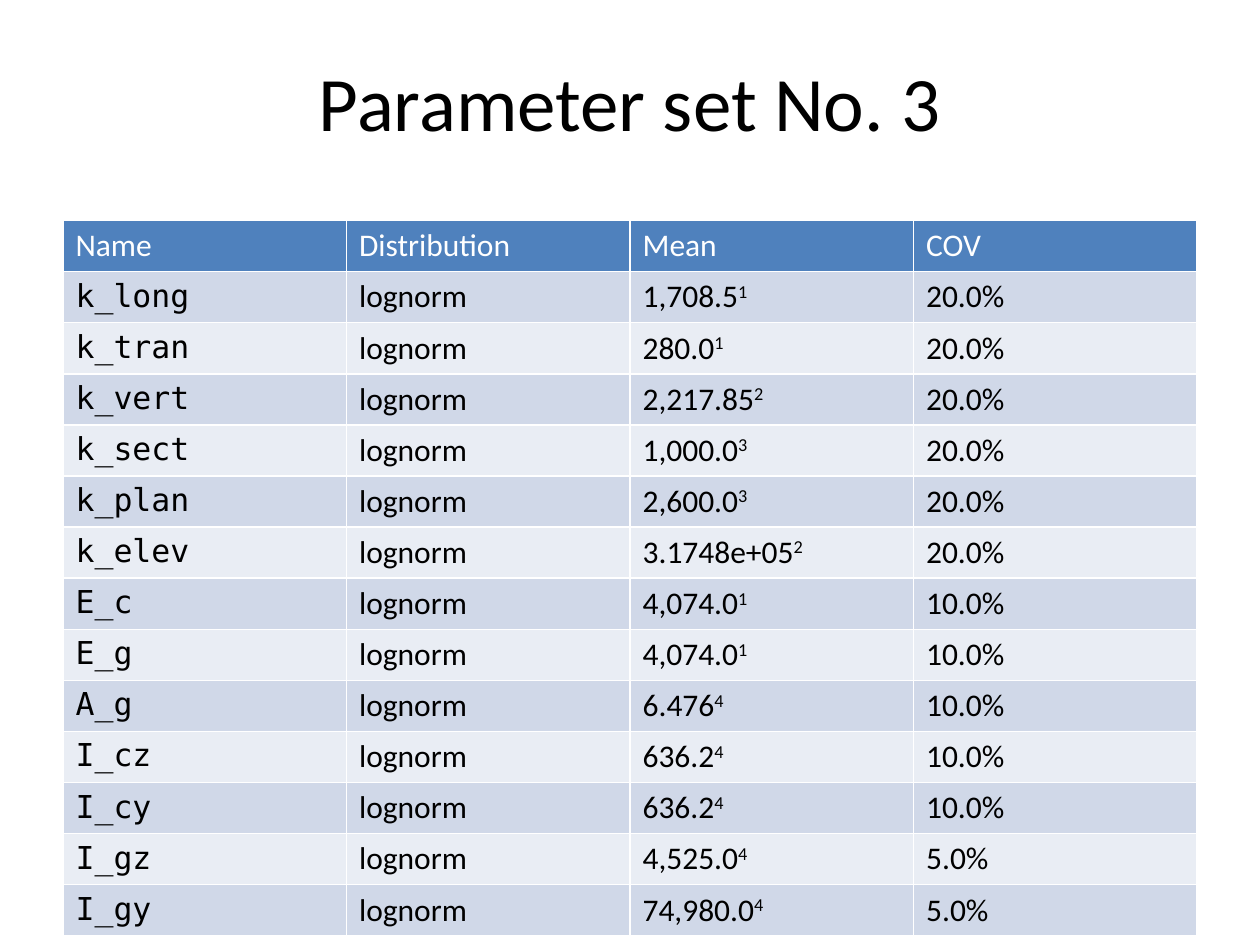
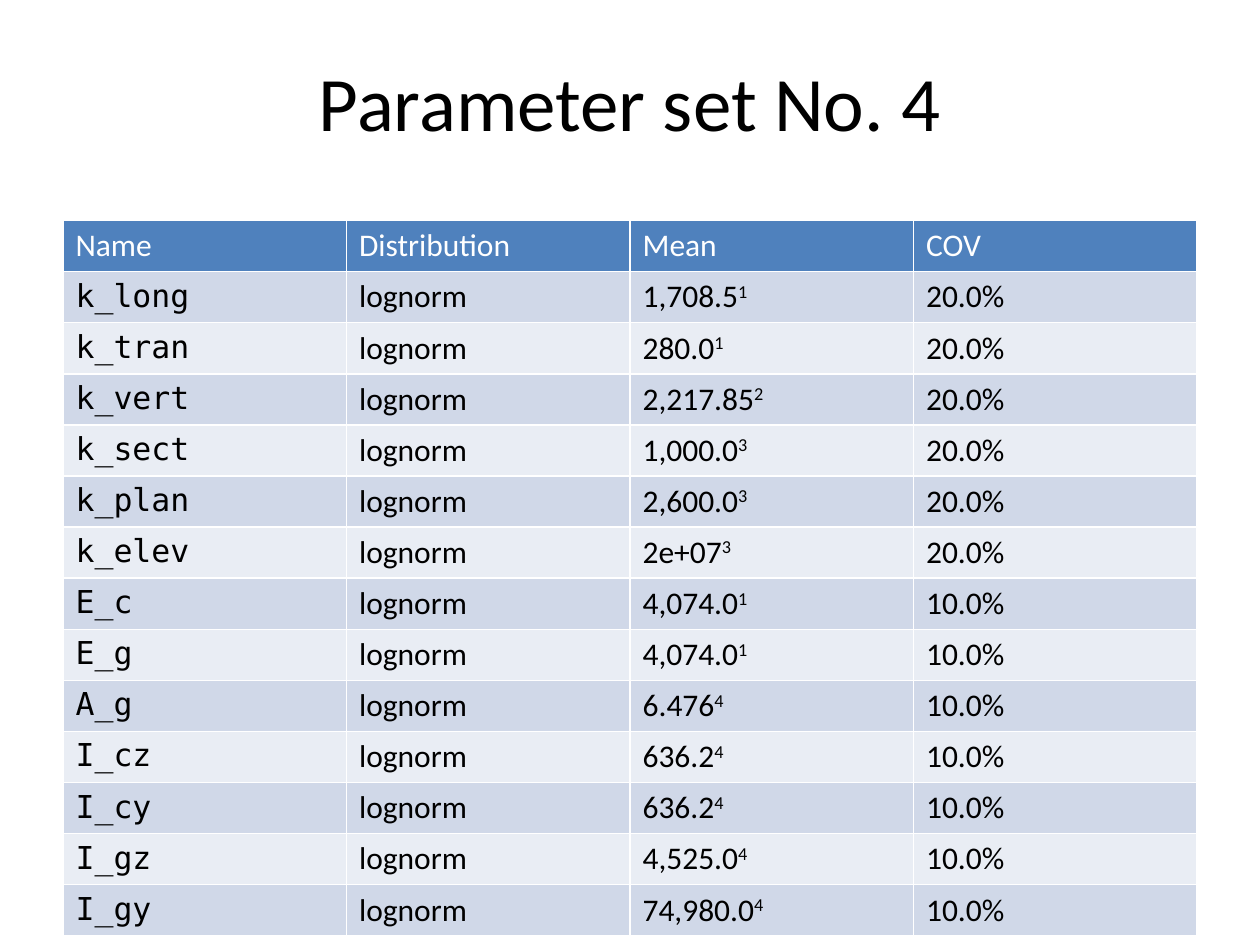
"""Build two slides that each tabulate one set of model parameters."""
from dataclasses import dataclass

from pptx import Presentation
from pptx.dml.color import RGBColor
from pptx.enum.text import MSO_ANCHOR, PP_ALIGN
from pptx.util import Pt


@dataclass(frozen=True)
class Theme:
    """Colours, fonts and type sizes shared by the slides."""
    background: str = "FFFFFF"
    text: str = "000000"
    header_text: str = "FFFFFF"
    header_fill: str = "4F81BD"
    band_fills: tuple = ("D0D8E8", "E9EDF4")
    body_font: str = "Calibri"
    code_font: str = "DejaVu Sans Mono"
    title_size: int = 44
    table_size: int = 18


THEME = Theme()
TITLE_ONLY = 5
LEFT, WIDTH = 36, 648
TITLE_TOP, TITLE_HEIGHT = 21.6, 72
TABLE_TOP, ROW_HEIGHT = 126, 25.4

HEADINGS = ("Name", "Distribution", "Mean", "COV")
DISTRIBUTION = "lognorm"
# name, mean, footnote mark of the mean, coefficient of variation
SHARED_START = [
    ("k_long", "1,708.5", "1", "20.0%"),
    ("k_tran", "280.0", "1", "20.0%"),
    ("k_vert", "2,217.85", "2", "20.0%"),
    ("k_sect", "1,000.0", "3", "20.0%"),
    ("k_plan", "2,600.0", "3", "20.0%"),
]
SHARED_MIDDLE = [
    ("E_c", "4,074.0", "1", "10.0%"),
    ("E_g", "4,074.0", "1", "10.0%"),
    ("A_g", "6.476", "4", "10.0%"),
    ("I_cz", "636.2", "4", "10.0%"),
    ("I_cy", "636.2", "4", "10.0%"),
]


def parameter_rows(elevation_mean, elevation_mark, girder_cov):
    """Return the rows of one set from the values that vary between sets."""
    return [
        *SHARED_START,
        ("k_elev", elevation_mean, elevation_mark, "20.0%"),
        *SHARED_MIDDLE,
        ("I_gz", "4,525.0", "4", girder_cov),
        ("I_gy", "74,980.0", "4", girder_cov),
    ]


def format_run(run, size, color, font=THEME.body_font):
    """Set the font, size and colour of a run, without bold."""
    run.font.name = font
    run.font.size = Pt(size)
    run.font.bold = False
    run.font.color.rgb = RGBColor.from_string(color)


def add_title(slide, text):
    """Place the title placeholder and fill in its text."""
    title = slide.shapes.title
    title.left, title.top = Pt(LEFT), Pt(TITLE_TOP)
    title.width, title.height = Pt(WIDTH), Pt(TITLE_HEIGHT)
    title.text_frame.text = text
    title.text_frame.vertical_anchor = MSO_ANCHOR.MIDDLE
    paragraph = title.text_frame.paragraphs[0]
    paragraph.alignment = PP_ALIGN.CENTER
    format_run(paragraph.runs[0], THEME.title_size, THEME.text)


def fill_cell(cell, text, fill, color=THEME.text, font=THEME.body_font, mark=""):
    """Write a cell, with an optional superscript mark after the text."""
    cell.fill.solid()
    cell.fill.fore_color.rgb = RGBColor.from_string(fill)
    cell.text_frame.text = text
    paragraph = cell.text_frame.paragraphs[0]
    if mark:
        superscript = paragraph.add_run()
        superscript.text = mark
        superscript._r.get_or_add_rPr().set("baseline", "30000")
    for run in paragraph.runs:
        format_run(run, THEME.table_size, color, font)


def add_parameter_table(slide, rows):
    """Add the banded parameter table; the table style draws its white rules."""
    row_count = len(rows) + 1
    table = slide.shapes.add_table(
        row_count, len(HEADINGS), Pt(LEFT), Pt(TABLE_TOP),
        Pt(WIDTH), Pt(row_count * ROW_HEIGHT)).table
    for column, heading in enumerate(HEADINGS):
        fill_cell(table.cell(0, column), heading, THEME.header_fill,
                  THEME.header_text)
    for index, (name, mean, mark, cov) in enumerate(rows):
        fill = THEME.band_fills[index % 2]
        cells = table.rows[index + 1].cells
        fill_cell(cells[0], name, fill, font=THEME.code_font)
        fill_cell(cells[1], DISTRIBUTION, fill)
        fill_cell(cells[2], mean, fill, mark=mark)
        fill_cell(cells[3], cov, fill)


def add_parameter_slide(presentation, number, rows):
    """Add one slide holding a numbered parameter set."""
    slide = presentation.slides.add_slide(presentation.slide_layouts[TITLE_ONLY])
    slide.background.fill.solid()
    slide.background.fill.fore_color.rgb = RGBColor.from_string(THEME.background)
    add_title(slide, f"Parameter set No.\u00a0{number}")
    add_parameter_table(slide, rows)


def main():
    """Build and save the presentation."""
    presentation = Presentation()
    presentation.slide_width, presentation.slide_height = Pt(720), Pt(540)
    add_parameter_slide(presentation, 3, parameter_rows("3.1748e+05", "2", "5.0%"))
    add_parameter_slide(presentation, 4, parameter_rows("2e+07", "3", "10.0%"))
    presentation.save("out.pptx")


main()
